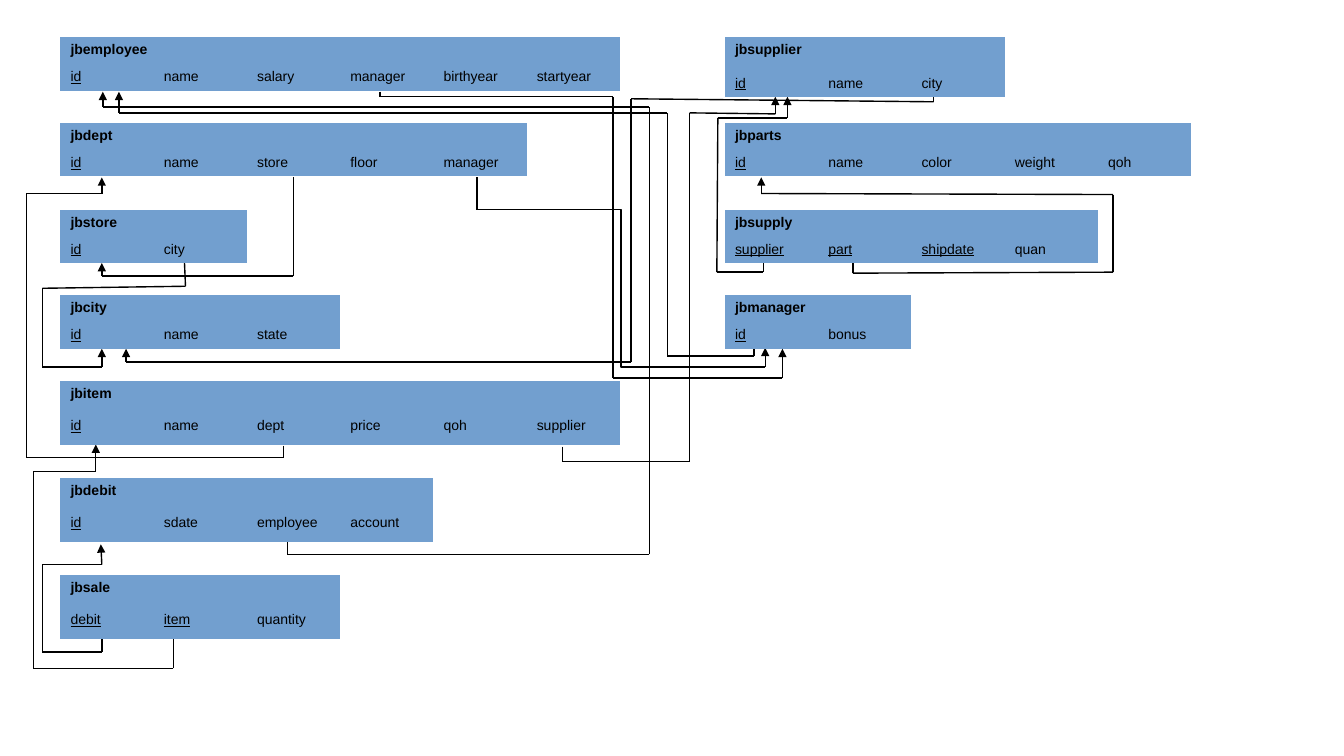
from itertools import pairwise

from lxml import etree
from pptx import Presentation
from pptx.dml.color import RGBColor
from pptx.enum.shapes import MSO_CONNECTOR
from pptx.oxml.ns import qn
from pptx.util import Inches, Pt

STRAIGHT = MSO_CONNECTOR.STRAIGHT
ELBOW = MSO_CONNECTOR.ELBOW
BLACK = RGBColor(0x00, 0x00, 0x00)
BLUE = RGBColor(0x72, 0x9F, 0xCF)
NO_GRID_STYLE = "{2D5ABB26-0587-4C30-8999-92F81FD0307C}"
COLUMN_WIDTH = 5.55 / 6
LEFT, RIGHT = 0.6, 7.19
SHORT, TALL = (0.53 / 2, 0.53 / 2), (0.32, 0.32)

RELATIONS = [
    ("jbemployee", LEFT, 0.37, SHORT, ["id"],
     ["name", "salary", "manager", "birthyear", "startyear"]),
    ("jbdept", LEFT, 1.22, SHORT, ["id"], ["name", "store", "floor", "manager"]),
    ("jbstore", LEFT, 2.08, SHORT, ["id"], ["city"]),
    ("jbcity", LEFT, 2.93, SHORT, ["id"], ["name", "state"]),
    ("jbitem", LEFT, 3.78, TALL, ["id"],
     ["name", "dept", "price", "qoh", "supplier"]),
    ("jbdebit", LEFT, 4.74, TALL, ["id"], ["sdate", "employee", "account"]),
    ("jbsale", LEFT, 5.7, TALL, ["debit", "item"], ["quantity"]),
    ("jbsupplier", RIGHT, 0.37, (0.33, 0.26), ["id"], ["name", "city"]),
    ("jbparts", RIGHT, 1.22, SHORT, ["id"], ["name", "color", "weight", "qoh"]),
    ("jbsupply", RIGHT, 2.08, SHORT, ["supplier", "part", "shipdate"], ["quan"]),
    ("jbmanager", RIGHT, 2.93, SHORT, ["id"], ["bonus"]),
]

DEPT_STORE = [(2.91, 1.76), (2.91, 2.74), (1.01, 2.74), (1.01, 2.61)]
DEPT_MANAGER = [(4.73, 1.76), (4.73, 2.08), (7.59, 3.64), (7.59, 3.45)]
ITEM_DEPT = [(2.81, 4.42), (2.81, 4.54), (0.26, 4.54), (0.26, 1.92),
             (1.01, 1.92), (1.01, 1.76)]
ITEM_SUPPLIER = [(5.58, 4.43), (5.58, 4.58), (6.84, 4.58), (6.84, 1.12),
                 (7.69, 1.13), (7.69, 0.96)]
SUPPLY_SUPPLIER = [(7.57, 2.6), (7.57, 2.7), (7.11, 2.7), (7.12, 1.17),
                   (7.81, 1.17), (7.81, 0.96)]
SUPPLY_PART = [(8.46, 2.61), (8.46, 2.71), (11.04, 2.7), (11.04, 1.93),
               (7.55, 1.92), (7.55, 1.76)]
SALE_DEBIT = [(1.01, 6.34), (1.01, 6.47), (0.42, 6.47), (0.42, 5.6),
              (1.01, 5.6), (1, 5.4)]
SALE_ITEM = [(1.72, 6.34), (1.72, 6.63), (0.33, 6.63), (0.33, 4.68),
             (0.95, 4.68), (0.95, 4.41)]
DEBIT_EMPLOYEE = [(2.85, 5.38), (2.85, 5.5), (6.44, 5.5), (6.44, 1.06),
                  (1.02, 1.06), (1.02, 0.91)]
STORE_CITY = [(1.83, 2.61), (1.84, 2.84), (0.42, 2.86), (0.42, 3.64),
              (1.01, 3.64), (1.01, 3.46)]
SUPPLIER_CITY = [(9.26, 0.96), (9.26, 1.01), (6.26, 0.98), (6.26, 3.59),
                 (1.25, 3.59), (1.25, 3.46)]
MANAGER_EMPLOYEE = [(7.48, 3.46), (7.48, 3.53), (6.62, 3.53), (6.62, 1.12),
                    (1.18, 1.12), (1.18, 0.91)]
EMPLOYEE_MANAGER = [(3.77, 0.91), (3.77, 0.96), (6.08, 0.96), (6.08, 3.75),
                    (7.76, 3.75), (7.76, 3.46)]


class SchemaSlide:
    font = "Arial"
    text_size = Pt(10)
    line_width = Pt(1)

    def __init__(self, presentation):
        self.slide = presentation.slides.add_slide(presentation.slide_layouts[6])

    def label(self, cell, text, bold=False, underline=False):
        run = cell.text_frame.paragraphs[0].add_run()
        run.text = text
        run.font.name = self.font
        run.font.size = self.text_size
        run.font.color.rgb = BLACK
        run.font.bold = bold
        run.font.underline = underline

    def relation(self, name, left, top, row_heights, keys, attributes):
        fields = keys + attributes
        frame = self.slide.shapes.add_table(
            2, len(fields), Inches(left), Inches(top),
            Inches(COLUMN_WIDTH * len(fields)), Inches(sum(row_heights)))
        table = frame.table
        table.first_row = table.horz_banding = False
        next(frame.element.iter(qn("a:tableStyleId"))).text = NO_GRID_STYLE
        for column in table.columns:
            column.width = Inches(COLUMN_WIDTH)
        for row, height in zip(table.rows, row_heights):
            row.height = Inches(height)
        for cell in table.iter_cells():
            cell.fill.solid()
            cell.fill.fore_color.rgb = BLUE
        table.cell(0, 0).merge(table.cell(0, len(fields) - 1))
        self.label(table.cell(0, 0), name, bold=True)
        for index, field in enumerate(fields):
            self.label(table.cell(1, index), field, underline=field in keys)

    def segment(self, start, end, kind=STRAIGHT, arrow=False):
        connector = self.slide.shapes.add_connector(
            kind, *(Inches(value) for value in start + end))
        connector.line.color.rgb = BLACK
        connector.line.width = self.line_width
        properties = connector.element.spPr
        if arrow:
            outline = properties.find(qn("a:ln"))
            etree.SubElement(outline, qn("a:tailEnd"), type="triangle")
        etree.SubElement(properties, qn("a:effectLst"))

    def reference(self, points, elbow_index=None):
        legs = list(pairwise(points))
        for index, (start, end) in enumerate(legs):
            kind = ELBOW if index == elbow_index else STRAIGHT
            self.segment(start, end, kind, arrow=index == len(legs) - 1)


def main():
    presentation = Presentation()
    presentation.slide_width = Inches(13.33)
    presentation.slide_height = Inches(7.5)
    schema = SchemaSlide(presentation)

    schema.reference(DEPT_STORE)
    schema.reference(DEPT_MANAGER, elbow_index=1)
    for points in (ITEM_DEPT, ITEM_SUPPLIER, SUPPLY_SUPPLIER, SUPPLY_PART,
                   SALE_DEBIT, SALE_ITEM, DEBIT_EMPLOYEE, STORE_CITY,
                   SUPPLIER_CITY):
        schema.reference(points)
    for relation in RELATIONS:
        schema.relation(*relation)
    for points in (MANAGER_EMPLOYEE, EMPLOYEE_MANAGER):
        schema.reference(points)

    presentation.save("out.pptx")


if __name__ == "__main__":
    main()
